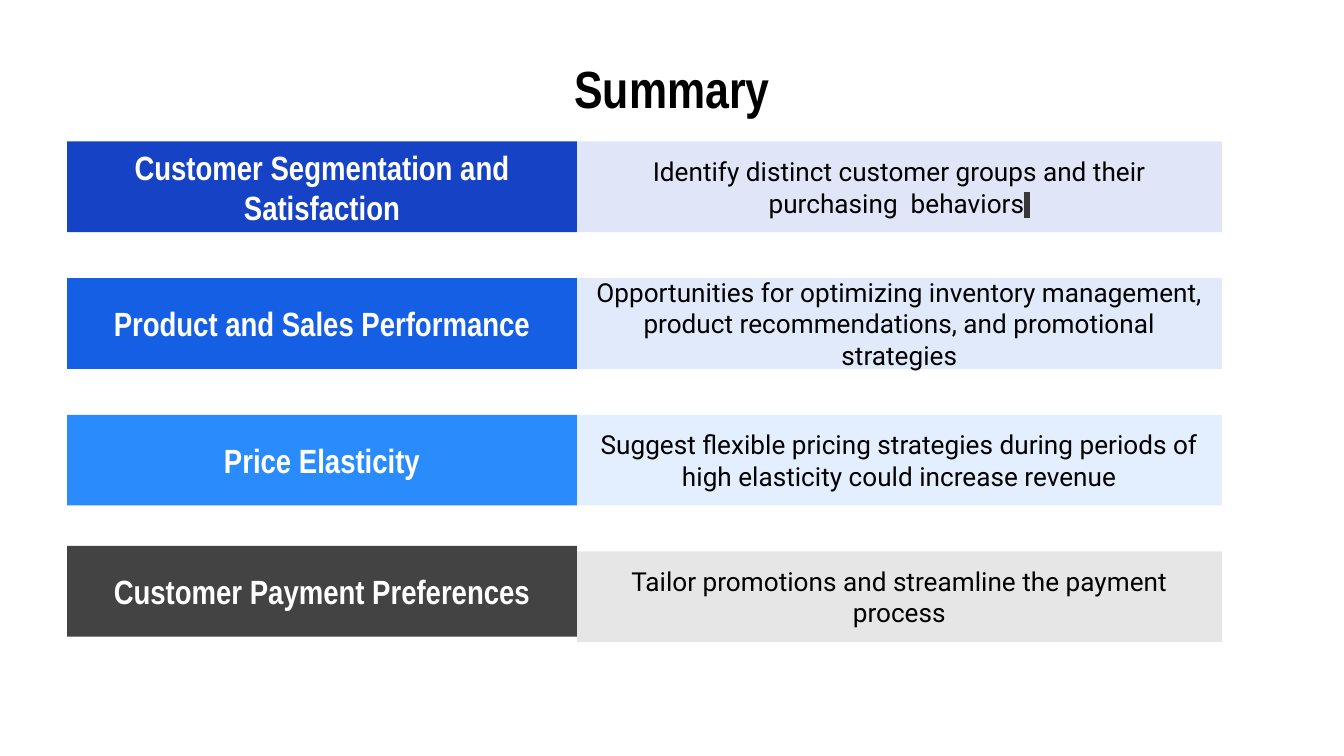
"""Build a summary slide of four findings, each a title bar beside a pale note."""
from dataclasses import dataclass

from lxml.etree import SubElement
from pptx import Presentation
from pptx.dml.color import RGBColor
from pptx.enum.shapes import MSO_SHAPE
from pptx.enum.text import MSO_ANCHOR, PP_ALIGN
from pptx.oxml.ns import qn
from pptx.shapes.autoshape import Shape
from pptx.shapes.group import GroupShape
from pptx.text.text import _Run as Run
from pptx.util import Pt

HUES = {
    "navy": "1642C5", "blue": "155FE5", "sky": "2A8BFD", "gray": "434343",
    "white": "FFFFFF", "black": "000000", "pale": "D5D5D5", "mark": "383838",
}
HEAD, BODY = "Arial Narrow", "Roboto"
LEFT, SPLIT, RIGHT = 36, 309, 654.6
TOP, PITCH, HIGH = 75.8, 73.2, 48.6
TINT = 13


@dataclass
class Row:
    """One finding with its colour and the upward shift of its title bar."""
    name: str
    note: str
    hue: str
    lift: float = 0
    caret: bool = False


ROWS = [
    Row("Customer Segmentation and Satisfaction",
        "Identify distinct customer groups and their purchasing  behaviors",
        "navy", caret=True),
    Row("Product and Sales Performance",
        "Opportunities for optimizing inventory management, product "
        "recommendations, and promotional strategies", "blue"),
    Row("Price Elasticity",
        "Suggest flexible pricing strategies during periods of high "
        "elasticity could increase revenue", "sky"),
    Row("Customer Payment Preferences",
        "Tailor promotions and streamline the payment process",
        "gray", lift=2.9),
]


def style(run: Run, font: str, size: float, hue: str, bold: bool = False) -> None:
    """Format one run."""
    run.font.name, run.font.size, run.font.bold = font, Pt(size), bold
    run.font.color.rgb = RGBColor.from_string(HUES[hue])


def write(shape: Shape, text: str, font: str, size: float, hue: str,
          bold: bool = False) -> None:
    """Put centred text in a shape."""
    frame = shape.text_frame
    frame.word_wrap = True
    frame.vertical_anchor = MSO_ANCHOR.MIDDLE
    frame.margin_left = frame.margin_right = Pt(7.2)
    frame.margin_top = frame.margin_bottom = Pt(7.2)
    frame.text = text
    line = frame.paragraphs[0]
    line.alignment = PP_ALIGN.CENTER
    style(line.runs[0], font, size, hue, bold)


def add_bar(group: GroupShape, left: float, top: float, right: float,
            hue: str) -> Shape:
    """Add a plain filled rectangle."""
    bar = group.shapes.add_shape(MSO_SHAPE.RECTANGLE, Pt(left), Pt(top),
                                 Pt(right - left), Pt(HIGH))
    bar.shadow.inherit = False
    bar.line.fill.background()
    bar.fill.solid()
    bar.fill.fore_color.rgb = RGBColor.from_string(HUES[hue])
    return bar


def fade(shape: Shape, share: int) -> None:
    """Set the opacity of a solid fill in percent."""
    tone = shape.element.spPr.find(qn("a:solidFill")).find(qn("a:srgbClr"))
    SubElement(tone, qn("a:alpha"), val=str(share * 1000))


def add_caret(shape: Shape) -> None:
    """End the text with a highlighted space."""
    run = shape.text_frame.paragraphs[0].add_run()
    run.text = " "
    style(run, BODY, 12, "pale")
    props = run.font._element
    light = SubElement(props, qn("a:highlight"))
    SubElement(light, qn("a:srgbClr"), val=HUES["mark"])
    props.find(qn("a:solidFill")).addnext(light)


def main() -> None:
    """Build and save the slide."""
    deck = Presentation()
    deck.slide_width, deck.slide_height = Pt(720), Pt(405)
    slide = deck.slides.add_slide(deck.slide_layouts[6])
    title = slide.shapes.add_textbox(Pt(LEFT), Pt(32.4), Pt(648), Pt(29.5))
    write(title, "Summary", HEAD, 28, "black", True)
    for step, row in enumerate(ROWS):
        top = TOP + step * PITCH
        group = slide.shapes.add_group_shape()
        name = add_bar(group, LEFT, top - row.lift, SPLIT, row.hue)
        write(name, row.name, HEAD, 18, "white", True)
        note = add_bar(group, SPLIT, top, RIGHT, row.hue)
        fade(note, TINT)
        write(note, row.note, BODY, 14, "black")
        if row.caret:
            add_caret(note)
    deck.save("out.pptx")


if __name__ == "__main__":
    main()
